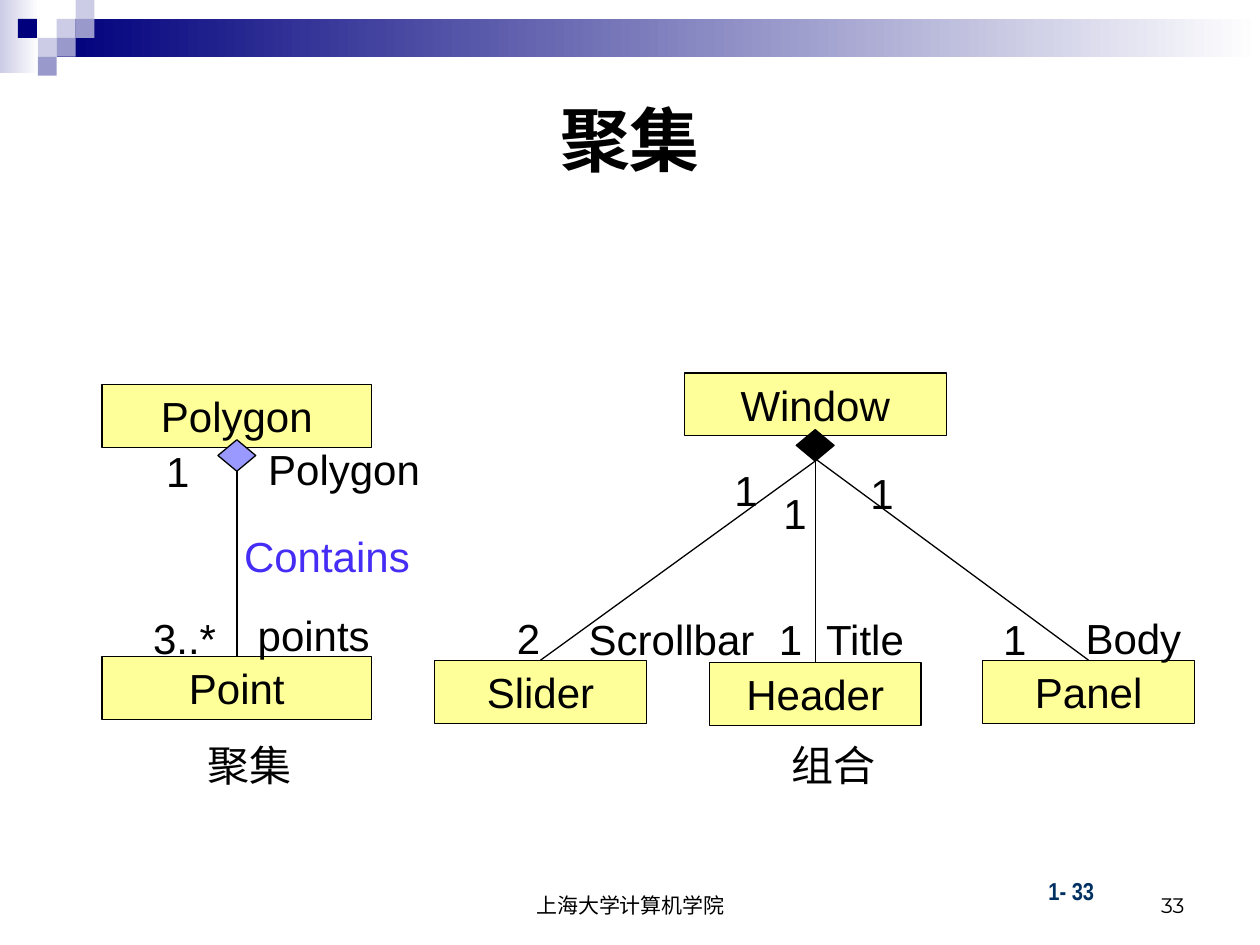
"""Build a slide that contrasts UML aggregation with composition."""
from dataclasses import dataclass, field

from lxml.etree import SubElement
from pptx import Presentation
from pptx.dml.color import RGBColor
from pptx.enum.shapes import MSO_CONNECTOR as Connector, MSO_SHAPE as Shape
from pptx.enum.text import MSO_ANCHOR as Anchor, PP_ALIGN as Align
from pptx.oxml.ns import qn
from pptx.slide import Slide
from pptx.util import Inches, Pt

COLORS = {
    "ink": "000000", "paper": "FFFFFF", "navy": "00007D", "mist": "CCCCE6",
    "lilac": "9999CC", "node": "FFFF99", "hollow": "9999FF",
    "relation": "452DF5", "number": "003162",
}


@dataclass
class Diagram:
    page: Slide
    unit: float = 0.1
    row_height: float = 5
    size: float = 24
    font: str = "Arial"
    colors: dict = field(default_factory=lambda: COLORS)

    def color(self, name):
        return RGBColor.from_string(self.colors[name])

    def place(self, *lengths):
        return [Inches(length * self.unit) for length in lengths]

    def add_text(self, frame, text, align=Align.CENTER, size=None, font=None,
                 color="ink", bold=False, anchor=Anchor.TOP, inset=1):
        frame.word_wrap = True
        frame.vertical_anchor = anchor
        frame.margin_left, frame.margin_right = self.place(inset, 1)
        frame.margin_top = frame.margin_bottom = Inches(0.05)
        para = frame.paragraphs[0]
        para.alignment = align
        span = para.add_run()
        span.text = text
        span.font.size = Pt(size or self.size)
        span.font.name = font or self.font
        span.font.bold = bold
        span.font.color.rgb = self.color(color)

    def title(self, text, left, top, width, height):
        box = self.page.shapes.title
        box.left, box.top, box.width, box.height = self.place(left, top, width, height)
        self.add_text(box.text_frame, text, size=40, bold=True, anchor=Anchor.MIDDLE)

    def label(self, text, left, top, width, height=None, **style):
        area = self.place(left, top, width, height or self.row_height)
        self.add_text(self.page.shapes.add_textbox(*area).text_frame, text, **style)

    def shape(self, kind, left, top, width, height, fill, outlined=True):
        box = self.page.shapes.add_shape(kind, *self.place(left, top, width, height))
        box.shadow.inherit = False
        box.fill.solid()
        box.fill.fore_color.rgb = self.color(fill)
        if outlined:
            box.line.color.rgb = self.color("ink")
            box.line.width = Pt(0.75)
        else:
            box.line.fill.background()
        return box

    def fade(self, left, top, width, height, start):
        band = self.shape(Shape.RECTANGLE, left, top, width, height, start, False)
        band.fill.gradient()
        band.fill.gradient_angle = 0
        for stop, name, position in zip(band.fill.gradient_stops, (start, "paper"), (0, 1)):
            stop.color.rgb = self.color(name)
            stop.position = position

    def node(self, text, left, top, width):
        box = self.shape(Shape.RECTANGLE, left, top, width, self.row_height, "node")
        self.add_text(box.text_frame, text)

    def diamond(self, center, top, fill):
        self.shape(Shape.FLOWCHART_DECISION, center - 1.5, top, 3, 2.5, fill)

    def link(self, *ends):
        line = self.page.shapes.add_connector(Connector.STRAIGHT, *self.place(*ends))
        line.line.color.rgb = self.color("ink")
        line.line.width = Pt(0.75)
        SubElement(line._element.spPr, qn("a:effectLst"))


def draw_header(diagram):
    """Draw the gradient band and its mosaic of squares."""
    diagram.fade(0, 0, 3.1, 5.8, "mist")
    diagram.fade(4.5, 1.5, 95.5, 3, "navy")
    tile = 1.5
    mosaic = [(3, 1, "mist"), (4, 0, "mist"), (4, 1, "lilac"), (2, 2, "mist"),
              (0.95, 1, "navy"), (3, 2, "lilac"), (2, 3, "lilac")]
    for column, row, fill in mosaic:
        diagram.shape(Shape.RECTANGLE, column * tile, row * tile, tile, tile, fill, False)


def draw_footer(diagram):
    """Add the footer and both page numbers."""
    diagram.label("1- 33", 72.8, 69, 20.8, 3.3, align=Align.LEFT, size=14,
                  font="Arial Narrow", color="number", bold=True, inset=10.4)
    diagram.label("上海大学计算机学院", 34.2, 68.3, 31.7, size=12, anchor=Anchor.BOTTOM)
    diagram.label("33", 71.7, 68.3, 23.3, align=Align.RIGHT, size=12,
                  font="Montserrat", anchor=Anchor.BOTTOM)


def draw_aggregation(diagram):
    """Draw the polygon that shares its points."""
    left, width = 8.1, 21.4
    center = left + width / 2
    diagram.node("Polygon", left, 30.5, width)
    diagram.node("Point", left, 52.1, width)
    diagram.diamond(center, 34.9, "hollow")
    diagram.link(center, 37.4, center, 52.1)
    diagram.label("1", 12.2, 34.9, 4.1, align=Align.LEFT)
    diagram.label("3..*", 10.1, 48.1, 9.1)
    diagram.label("points", 18.3, 47.9, 13.2)
    diagram.label("Contains", 17.3, 41.6, 17.3, color="relation")
    diagram.label("Polygon", 20.3, 34.7, 15.2, align=Align.LEFT)
    diagram.label("聚集", 7.1, 58.2, 25.4, font="DejaVu Sans")


def draw_composition(diagram):
    """Draw the window and the parts it owns."""
    center, part_width = 64.7, 16.8
    diagram.node("Window", 54.3, 29.6, 20.8)
    diagram.diamond(center, 34.1, "ink")
    parts = [("Slider", 34.5, 52.4, (center, 36.6)),
             ("Header", 56.3, 52.6, (center, 36.6)),
             ("Panel", 78, 52.4, (center - 1.5, 35.3))]
    for name, left, top, start in parts:
        diagram.node(name, left, top, part_width)
        diagram.link(*start, left + part_width / 2, top)
    for left, top in [(57.3, 36.4), (61.2, 38.2), (68.1, 36.6)]:
        diagram.label("1", left, top, 4, align=Align.LEFT)
    roles = [("2", 37.5, 48.1, 8.9), ("Scrollbar", 45.4, 48.2, 15.8),
             ("1", 58.3, 48.2, 8.9), ("Title", 64.2, 48.2, 8.9),
             ("1", 76.1, 48.2, 8.9), ("Body", 84, 48.1, 11.9)]
    for role in roles:
        diagram.label(*role)
    diagram.label("组合", 54.3, 58.2, 23.7, font="DejaVu Sans")


def main():
    deck = Presentation()
    deck.slide_width, deck.slide_height = Inches(10), Inches(7.5)
    diagram = Diagram(deck.slides.add_slide(deck.slide_layouts.get_by_name("Title Only")))
    draw_header(diagram)
    draw_footer(diagram)
    diagram.title("聚集", 5, 5, 90, 12)
    draw_aggregation(diagram)
    draw_composition(diagram)
    deck.save("out.pptx")


if __name__ == "__main__":
    main()
